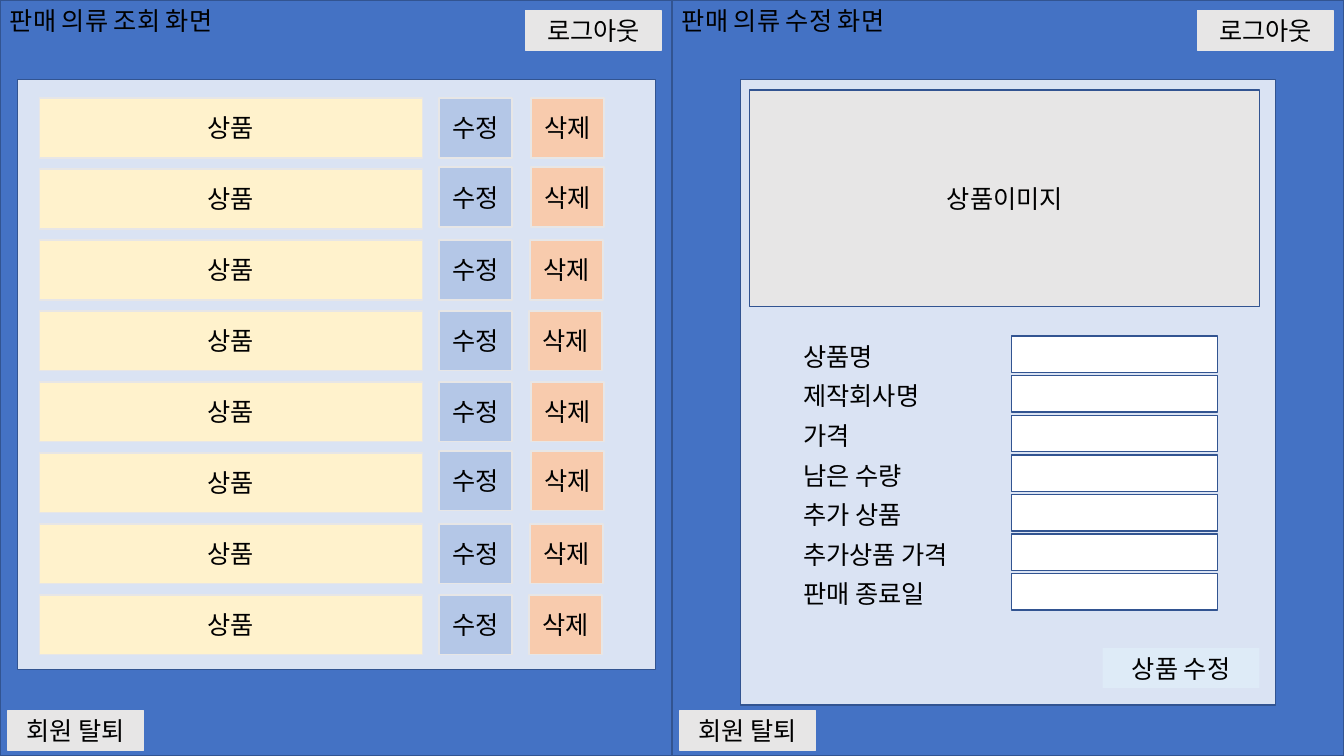
from lxml.etree import SubElement
from pptx import Presentation
from pptx.dml.color import RGBColor
from pptx.enum.shapes import MSO_SHAPE
from pptx.enum.text import MSO_ANCHOR, MSO_AUTO_SIZE, PP_ALIGN
from pptx.oxml.ns import qn
from pptx.util import Pt

FONT = "Noto Sans CJK KR"
BLUE, NAVY, PANEL, GRAY = "4472C4", "325491", "DAE3F3", "E7E6E6"
SCREEN_WIDTH, SCREEN_HEIGHT = 480, 540


def color(hex_text):
    return RGBColor.from_string(hex_text)


def set_values(target, values):
    for name, value in values.items():
        setattr(target, name, value)


def write(frame, text, align):
    para = frame.paragraphs[0]
    para.alignment = align
    span = para.add_run()
    span.text = text
    set_values(span.font, {"size": Pt(18), "name": FONT})
    span.font.color.rgb = color("000000")
    # Hangul takes the East Asian typeface
    SubElement(span.font._element, qn("a:ea"), typeface=FONT)


def place(box, left, top, width, height):
    return Pt(box[0] + left), Pt(box[1] + top), Pt(width), Pt(height)


def add_block(page, box, area, fill, line=None, text=None):
    block = page.shapes.add_shape(MSO_SHAPE.RECTANGLE, *place(box, *area))
    block.shadow.inherit = False
    block.fill.solid()
    block.fill.fore_color.rgb = color(fill)
    if line:
        block.line.color.rgb = color(line)
        block.line.width = Pt(1)
    else:
        block.line.fill.background()
    if text:
        block.text_frame.vertical_anchor = MSO_ANCHOR.MIDDLE
        write(block.text_frame, text, PP_ALIGN.CENTER)


def add_label(page, box, area, text):
    label = page.shapes.add_textbox(*place(box, *area))
    set_values(label.text_frame, {"word_wrap": True,
                                  "auto_size": MSO_AUTO_SIZE.SHAPE_TO_FIT_TEXT})
    write(label.text_frame, text, PP_ALIGN.LEFT)


def add_screen(page, box, title, panel):
    """Background, title, account buttons and content panel."""
    add_block(page, box, (0, 0, SCREEN_WIDTH, SCREEN_HEIGHT), BLUE, NAVY)
    add_label(page, box, (0, 0, 203, 29), title)
    add_block(page, box, (375.5, 7.6, 96.8, 28.4), GRAY, GRAY, "로그아웃")
    add_block(page, box, (5.6, 507.6, 96.8, 28.4), GRAY, GRAY, "회원 탈퇴")
    add_block(page, box, panel, PANEL, NAVY)


def add_list_screen(page, box):
    add_screen(page, box, "판매 의류 조회 화면", (12.4, 57, 456, 421.4))
    # Button offsets repeat every four rows
    raises = (0, 1.4, 0, 0)
    shifts = (0, 0, 0.7, 1.4)
    for row in range(8):
        top = 70 + 50.7 * row
        button_top = top - raises[row % 4]
        delete_left = 379.2 - shifts[row % 4]
        for area, fill, text in (
            ((28.2, top, 273.6, 42.8), "FFF2CC", "상품"),
            ((313.6, button_top, 52.2, 42.8), "B4C7E7", "수정"),
            ((delete_left, button_top, 52.2, 42.8), "F8CBAD", "삭제"),
        ):
            add_block(page, box, area, fill, GRAY, text)


def add_edit_screen(page, box):
    add_screen(page, box, "판매 의류 수정 화면", (48.8, 57, 382.2, 446.5))
    add_block(page, box, (55.6, 64.2, 364.3, 155), GRAY, NAVY, "상품이미지")
    # Labels with their entry fields
    fields = ("상품명", "제작회사명", "가격", "남은 수량", "추가 상품",
              "추가상품 가격", "판매 종료일")
    for row, name in enumerate(fields):
        top = 240 + 28.3 * row
        add_label(page, box, (86.8, top, 144.7, 29), name)
        add_block(page, box, (242.5, top, 147, 26), "FFFFFF", NAVY)
    add_block(page, box, (307.6, 463, 112, 28.4), "DEEBF7", text="상품 수정")


deck = Presentation()
set_values(deck, {"slide_width": Pt(2 * SCREEN_WIDTH),
                  "slide_height": Pt(SCREEN_HEIGHT)})
page = deck.slides.add_slide(deck.slide_layouts[6])
add_edit_screen(page, (SCREEN_WIDTH, 0))
add_list_screen(page, (0, 0))
deck.save("out.pptx")
